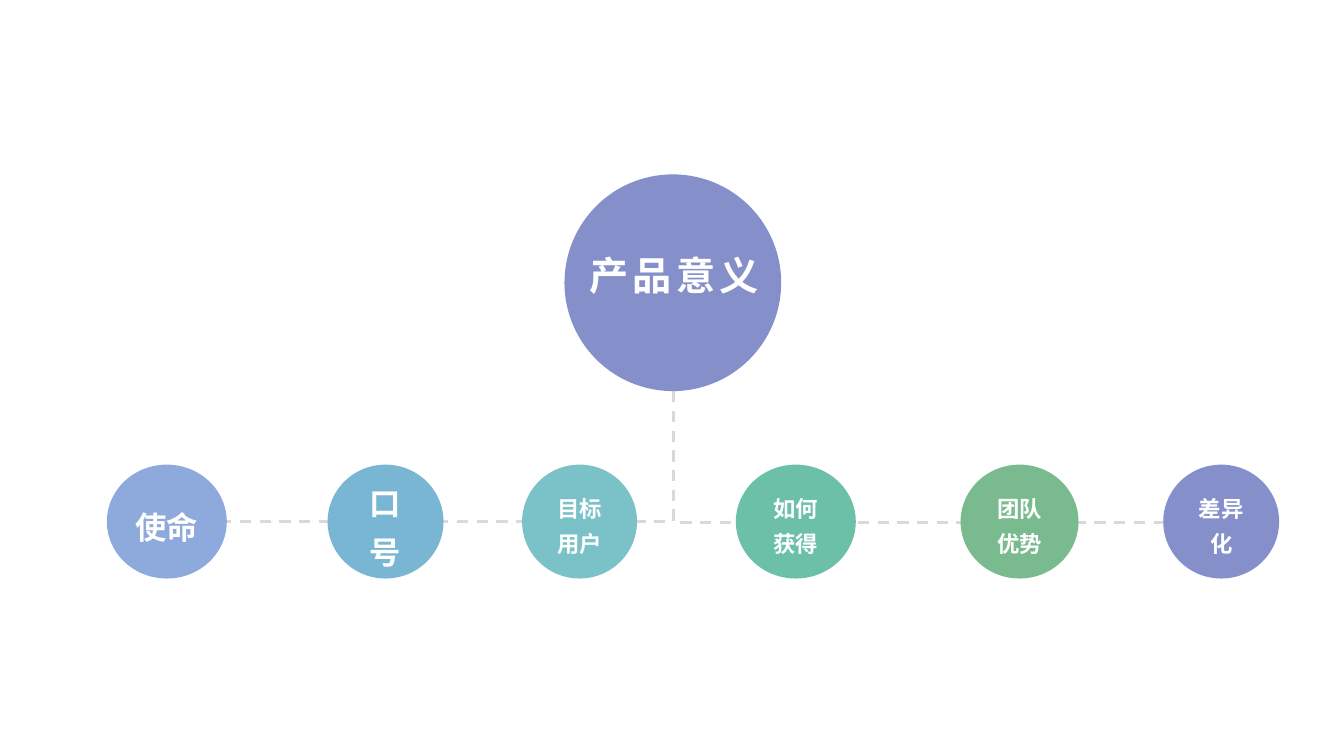
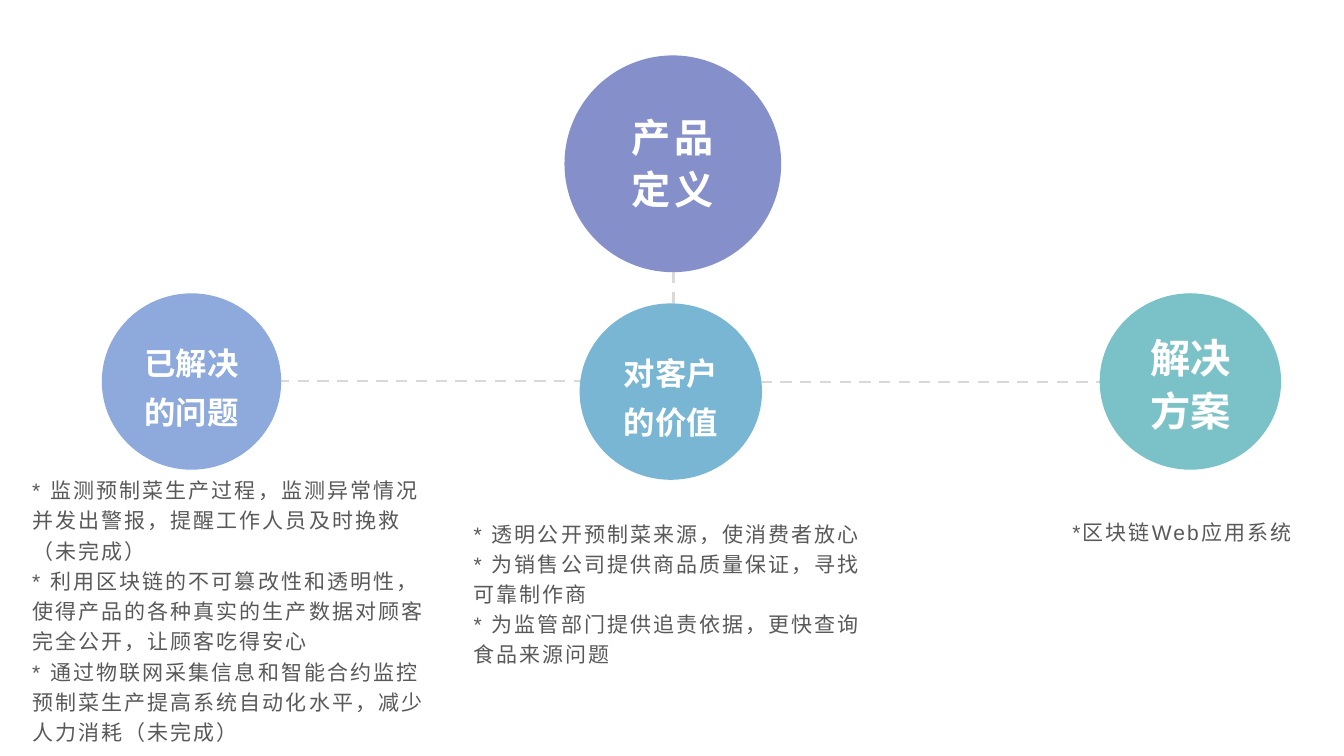
"""Build two hub-and-branch slides about a product's meaning and definition."""
from dataclasses import dataclass

from lxml.etree import SubElement
from pptx import Presentation
from pptx.dml.color import RGBColor
from pptx.enum.dml import MSO_LINE
from pptx.enum.lang import MSO_LANGUAGE_ID
from pptx.enum.shapes import MSO_CONNECTOR, MSO_SHAPE
from pptx.enum.text import MSO_ANCHOR, PP_ALIGN
from pptx.oxml.ns import qn
from pptx.presentation import Presentation as Deck
from pptx.shapes.autoshape import Shape
from pptx.slide import Slide
from pptx.util import Inches, Pt

PURPLE = RGBColor(0x85, 0x90, 0xCA)
PERIWINKLE = RGBColor(0x8E, 0xAA, 0xDC)
BLUE = RGBColor(0x79, 0xB6, 0xD3)
TEAL = RGBColor(0x7A, 0xC2, 0xC7)
MINT = RGBColor(0x6B, 0xC0, 0xA7)
GREEN = RGBColor(0x79, 0xBB, 0x8F)
WHITE = RGBColor(0xFF, 0xFF, 0xFF)
DARK_GRAY = RGBColor(0x59, 0x59, 0x59)
LINE_GRAY = RGBColor(0xD9, 0xD9, 0xD9)

FONT_NAME = "Arial"
SLIDE_HEIGHT = 7.5
HUB_LEFT = 5.6
HUB_SIZE = 2.15
HUB_CENTER = 6.68
QUARTER_TURN = "5400000"


@dataclass(frozen=True)
class Box:
    """Position and size in inches."""
    left: float
    top: float
    width: float
    height: float

    def lengths(self) -> tuple[Inches, Inches, Inches, Inches]:
        """Return the box as slide lengths."""
        return Inches(self.left), Inches(self.top), Inches(self.width), Inches(self.height)


@dataclass(frozen=True)
class Branch:
    """A labelled circle on the horizontal line."""
    label: str
    box: Box
    color: RGBColor
    size: float
    line_spacing: float = 1.3


@dataclass(frozen=True)
class Note:
    """A block of starred points."""
    box: Box
    points: tuple[str, ...]


def small_branch(label: str, left: float, width: float, color: RGBColor,
                 size: float = 16) -> Branch:
    """Return a circle in the row of the meaning slide."""
    return Branch(label, Box(left, 4.61, width, 1.13), color, size)


MEANING_BRANCHES = (
    small_branch("使命", 1.06, 1.19, PERIWINKLE, size=22.4),
    small_branch("口号", 3.25, 1.15, BLUE, size=22.4),
    small_branch("目标用户", 5.18, 1.14, TEAL),
    small_branch("如何获得", 7.3, 1.19, MINT),
    small_branch("团队优势", 9.53, 1.17, GREEN),
    small_branch("差异化", 11.54, 1.15, PURPLE),
)

DEFINITION_BRANCHES = (
    Branch("已解决的问题", Box(1.01, 2.91, 1.78, 1.75), PERIWINKLE, 22.4),
    Branch("对客户的价值", Box(5.75, 3.01, 1.81, 1.75), BLUE, 22.4),
    Branch("解决方案", Box(10.91, 2.91, 1.8, 1.75), TEAL, 28.8, 1.1),
)

DEFINITION_NOTES = (
    Note(Box(0.22, 4.64, 4.15, 2.8), (
        "* 监测预制菜生产过程，监测异常情况并发出警报，提醒工作人员及时挽救（未完成）",
        "* 利用区块链的不可篡改性和透明性，使得产品的各种真实的生产数据对顾客完全公开，让顾客吃得安心",
        "* 通过物联网采集信息和智能合约监控预制菜生产提高系统自动化水平，减少人力消耗（未完成）",
    )),
    Note(Box(4.6, 5.07, 4.15, 2.36), (
        "* 透明公开预制菜来源，使消费者放心",
        "* 为销售公司提供商品质量保证，寻找可靠制作商",
        "* 为监管部门提供追责依据，更快查询食品来源问题",
    )),
    Note(Box(10.54, 5.05, 2.63, 2.45), ("*区块链Web应用系统",)),
)


def write_text(shape: Shape, *lines: str, size: float, color: RGBColor,
               line_spacing: float, bold: bool = False, tracking: float = 0,
               align: PP_ALIGN = PP_ALIGN.LEFT,
               anchor: MSO_ANCHOR = MSO_ANCHOR.TOP) -> None:
    """Write one formatted paragraph per line into a shape."""
    frame = shape.text_frame
    frame.word_wrap = True
    frame.vertical_anchor = anchor
    for index, line in enumerate(lines):
        paragraph = frame.add_paragraph() if index else frame.paragraphs[0]
        paragraph.alignment = align
        paragraph.line_spacing = line_spacing
        run = paragraph.add_run()
        run.text = line
        run.font.name = FONT_NAME
        run.font.size = Pt(size)
        run.font.bold = bold
        run.font.color.rgb = color
        run.font.language_id = MSO_LANGUAGE_ID.SIMPLIFIED_CHINESE
        if tracking:
            run._r.get_or_add_rPr().set("spc", str(round(tracking * 100)))


def add_circle(slide: Slide, box: Box, color: RGBColor) -> Shape:
    """Add a flat filled ellipse."""
    circle = slide.shapes.add_shape(MSO_SHAPE.OVAL, *box.lengths())
    circle.shadow.inherit = False
    circle.fill.solid()
    circle.fill.fore_color.rgb = color
    circle.line.fill.background()
    return circle


def add_elbow(slide: Slide, hub_top: float, end: tuple[float, float],
              row: float | None = None) -> None:
    """Add a dashed elbow that drops from the hub, turns at the row and reaches the end."""
    start_y = hub_top + HUB_SIZE
    end_x, end_y = end
    drop, reach = end_y - start_y, abs(end_x - HUB_CENTER)
    left = (HUB_CENTER + end_x - drop) / 2
    top = (start_y + end_y - reach) / 2
    sides = (top + reach, top) if end_x > HUB_CENTER else (top, top + reach)
    connector = slide.shapes.add_connector(
        MSO_CONNECTOR.ELBOW, Inches(left), Inches(sides[0]),
        Inches(left + drop), Inches(sides[1]))
    connector.line.color.rgb = LINE_GRAY
    connector.line.width = Pt(2)
    connector.line.dash_style = MSO_LINE.DASH
    properties = connector._element.spPr
    SubElement(properties, qn("a:effectLst"))
    properties.find(qn("a:xfrm")).set("rot", QUARTER_TURN)
    geometry = properties.find(qn("a:prstGeom"))
    if row is None:
        geometry.set("prst", "bentConnector2")
    else:
        turn = round((row - start_y) / drop * 100000)
        SubElement(geometry.find(qn("a:avLst")), qn("a:gd"), name="adj1", fmla=f"val {turn}")


def add_hub(slide: Slide, top: float, title_box: Box, *title: str, align: PP_ALIGN) -> None:
    """Add the large circle and its title."""
    add_circle(slide, Box(HUB_LEFT, top, HUB_SIZE, HUB_SIZE), PURPLE)
    title_shape = slide.shapes.add_textbox(*title_box.lengths())
    write_text(title_shape, *title, size=28, color=WHITE, bold=True,
               line_spacing=1.1, tracking=3, align=align)


def add_branches(slide: Slide, branches: tuple[Branch, ...]) -> None:
    """Add the labelled circles."""
    for branch in branches:
        circle = add_circle(slide, branch.box, branch.color)
        write_text(circle, branch.label, size=branch.size, color=WHITE, bold=True,
                   line_spacing=branch.line_spacing, align=PP_ALIGN.CENTER,
                   anchor=MSO_ANCHOR.MIDDLE)


def add_blank_slide(presentation: Deck) -> Slide:
    """Add a slide with the blank layout."""
    return presentation.slides.add_slide(presentation.slide_layouts[6])


def build_meaning(presentation: Deck) -> None:
    """Build the product meaning slide."""
    slide = add_blank_slide(presentation)
    hub_top = 1.73
    add_elbow(slide, hub_top, (11.54, 5.18))
    add_elbow(slide, hub_top, (2.25, 5.17))
    add_branches(slide, MEANING_BRANCHES)
    add_hub(slide, hub_top, Box(5.75, 2.4, 1.94, 0.71), "产品意义", align=PP_ALIGN.LEFT)


def build_definition(presentation: Deck) -> None:
    """Build the product definition slide."""
    slide = add_blank_slide(presentation)
    hub_top = 0.55
    add_elbow(slide, hub_top, (11.81, 2.91), row=3.79)
    add_elbow(slide, hub_top, (2.79, 3.78))
    add_branches(slide, DEFINITION_BRANCHES)
    add_hub(slide, hub_top, Box(5.92, 1.03, 1.51, 1.18), "产品", "定义",
            align=PP_ALIGN.CENTER)
    for note in DEFINITION_NOTES:
        text_box = slide.shapes.add_textbox(*note.box.lengths())
        write_text(text_box, *note.points, size=15, color=DARK_GRAY,
                   line_spacing=1.2, tracking=1.5)


def main() -> None:
    """Build and save the presentation."""
    presentation = Presentation()
    presentation.slide_width = Inches(SLIDE_HEIGHT * 16 / 9)
    presentation.slide_height = Inches(SLIDE_HEIGHT)
    build_meaning(presentation)
    build_definition(presentation)
    presentation.save("out.pptx")


if __name__ == "__main__":
    main()
